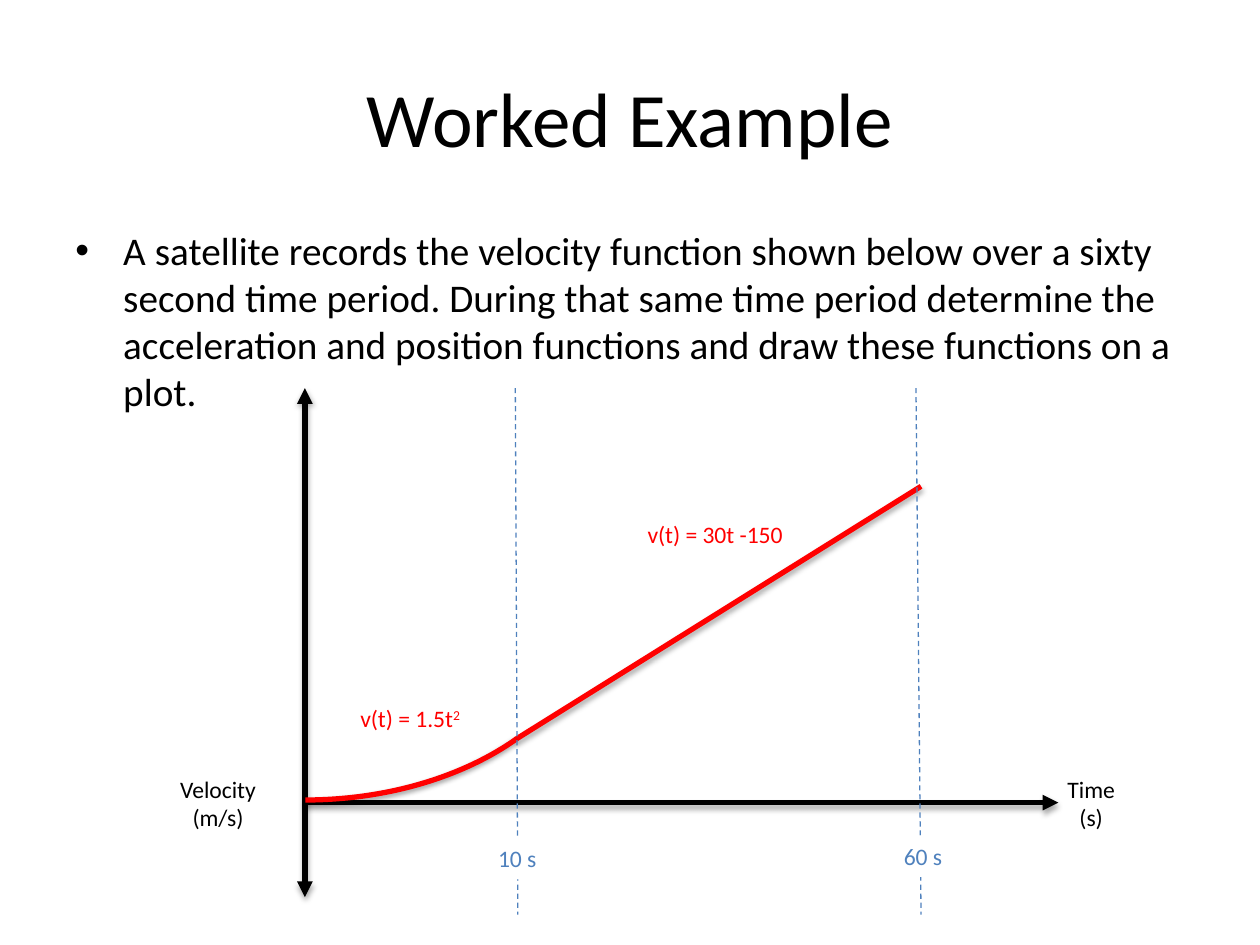
import pptx
import pptx.dml.color
import pptx.enum.dml
import pptx.enum.shapes
import pptx.enum.text
import pptx.oxml
import pptx.oxml.ns
import pptx.util
from lxml import etree

COLS, ROWS = 100, 75
CELL = pptx.util.Inches(0.1)
FONT = "Calibri"
BLACK, RED, BLUE, WHITE = "000000", "FF0000", "4F81BD", "FFFFFF"
LABEL_SIZE = 13.5

# Plot positions in grid columns and rows
AXIS_X, AXIS_Y = 24.2, 63.7
PLOT_TOP, GUIDE_END = 30.8, 72.6
JOIN = (40.9, 58.7)
CURVE_END = (73.1, 38.6)


def grid(*cells):
    return [round(c * CELL) for c in cells]


def colour(value):
    return pptx.dml.color.RGBColor.from_string(value)


def sub(parent, tag, **attrs):
    return etree.SubElement(parent, pptx.oxml.ns.qn(tag), attrs)


def set_effect(sp, opacity=0, distance=1.8):
    """Give the shape a soft shadow below it, or no effect if opacity is 0."""
    effects = sub(sp._element.spPr, "a:effectLst")
    if opacity:
        shadow = sub(effects, "a:outerShdw",
                     blurRad=str(pptx.util.Pt(3.1)),
                     dist=str(pptx.util.Pt(distance)),
                     dir="5400000", rotWithShape="0")
        sub(sub(shadow, "a:srgbClr", val=BLACK), "a:alpha", val=str(opacity * 1000))


def set_line(sp, value, width):
    sp.line.color.rgb = colour(value)
    sp.line.width = pptx.util.Pt(width)


def add_line(s, start, end, value, width=3, ends=(), dashed=False, opacity=35):
    sp = s.shapes.add_connector(pptx.enum.shapes.MSO_CONNECTOR.STRAIGHT,
                                *grid(*start, *end))
    set_line(sp, value, width)
    if dashed:
        sp.line.dash_style = pptx.enum.dml.MSO_LINE.DASH
    for tag in ends:
        sub(sp.line._get_or_add_ln(), tag, type="triangle")
    set_effect(sp, opacity)


def add_arc(s, box, start, end, value):
    """Draw an arc between two angles given in degrees."""
    sp = s.shapes.add_shape(pptx.enum.shapes.MSO_SHAPE.ARC, *grid(*box))
    sp.adjustments[0] = start * 0.6
    sp.adjustments[1] = end * 0.6
    sp.fill.background()
    set_line(sp, value, 3)
    set_effect(sp, 38, 1.6)


def format_runs(p, size, value):
    for r in p.runs:
        r.font.name = FONT
        r.font.size = pptx.util.Pt(size)
        r.font.color.rgb = colour(value)


def add_text(s, box, text, size, value, wrap=True):
    sp = s.shapes.add_textbox(*grid(*box))
    tf = sp.text_frame
    tf.text = text
    tf.word_wrap = wrap
    for p in tf.paragraphs:
        p.alignment = pptx.enum.text.PP_ALIGN.CENTER
        format_runs(p, size, value)
    return sp


def add_label(s, box, text, value, fill=None, superscript=None):
    sp = add_text(s, box, text, LABEL_SIZE, value, wrap=False)
    sp.text_frame.auto_size = pptx.enum.text.MSO_AUTO_SIZE.SHAPE_TO_FIT_TEXT
    if fill:
        sp.fill.solid()
        sp.fill.fore_color.rgb = colour(fill)
    if superscript:
        p = sp.text_frame.paragraphs[0]
        r = p.add_run()
        r.text = superscript
        format_runs(p, LABEL_SIZE, value)
        r.font._element.set("baseline", "30000")


def add_bullet(s, box, text, size):
    sp = add_text(s, box, text, size, BLACK)
    p = sp.text_frame.paragraphs[0]
    p.alignment = pptx.enum.text.PP_ALIGN.LEFT
    pPr = p._p.get_or_add_pPr()
    indent = pptx.util.Inches(0.38)
    pPr.set("marL", str(indent))
    pPr.set("indent", str(-indent))
    sub(pPr, "a:buFont", typeface="Arial")
    sub(pPr, "a:buChar", char="•")


def add_axes(s):
    add_line(s, (AXIS_X, PLOT_TOP), (AXIS_X, 71.2), BLACK, ends=("a:headEnd", "a:tailEnd"))
    add_line(s, (AXIS_X, AXIS_Y), (84, AXIS_Y), BLACK, ends=("a:tailEnd",))
    add_label(s, (13.2, 61, 8.2, 5.6), "Velocity\n(m/s)", BLACK)
    add_label(s, (83.7, 61, 5.8, 5.6), "Time\n(s)", BLACK)


def add_curve(s):
    add_line(s, CURVE_END, JOIN, RED)
    add_arc(s, (0.9, 31.9, 46.6, 31.6), 33.24, 89.87, RED)


def main():
    prs = pptx.Presentation()
    prs.slide_width, prs.slide_height = grid(COLS, ROWS)
    s = prs.slides.add_slide(prs.slide_layouts[6])

    title = add_text(s, (5, 3, 90, 12.5), "Worked Example", 44, BLACK)
    title.text_frame.vertical_anchor = pptx.enum.text.MSO_ANCHOR.MIDDLE

    add_axes(s)
    add_curve(s)
    for top_x, bottom_x in ((40.9, 41.1), (72.7, 73.1)):
        add_line(s, (top_x, PLOT_TOP), (bottom_x, GUIDE_END), BLUE, 0.75,
                 dashed=True, opacity=0)

    add_bullet(s, (5, 17.5, 90, 13.3),
               "A satellite records the velocity function shown below over a sixty "
               "second time period. During that same time period determine the "
               "acceleration and position functions and draw these functions on a plot.",
               22.4)

    add_label(s, (27.5, 55.4, 10.1, 3.3), "v(t) = 1.5t", RED, superscript="2")
    add_label(s, (50.3, 40.8, 12.9, 3.3), "v(t) = 30t -150", RED)
    add_label(s, (38.5, 66.5, 5.1, 3.3), "10 s", BLUE, fill=WHITE)
    add_label(s, (70.7, 66.3, 5.1, 3.3), "60 s", BLUE, fill=WHITE)

    prs.save("out.pptx")


if __name__ == "__main__":
    main()
